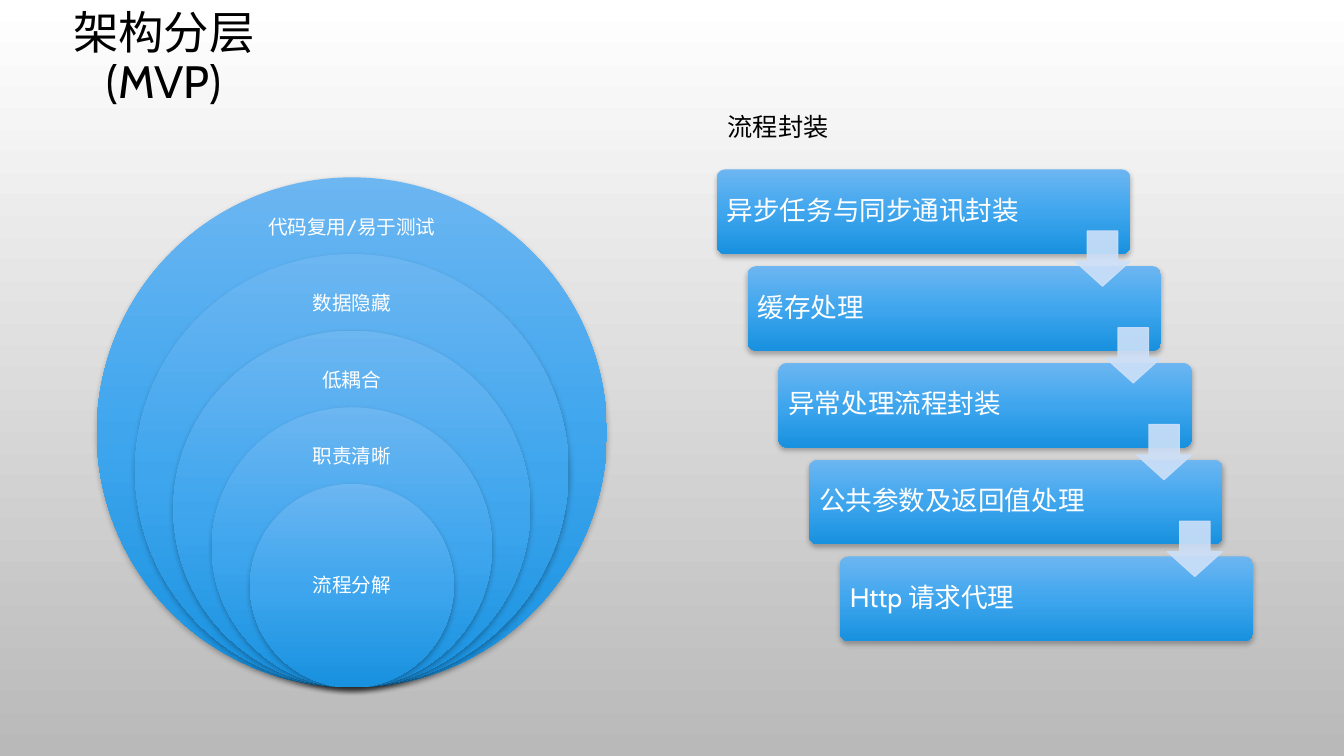
from dataclasses import dataclass

from lxml.etree import SubElement
from pptx import Presentation
from pptx.dml.color import RGBColor
from pptx.enum.shapes import MSO_SHAPE as Shape
from pptx.enum.text import MSO_ANCHOR as Anchor, PP_ALIGN as Align
from pptx.oxml.ns import qn
from pptx.util import Inches, Pt


@dataclass(frozen=True)
class Theme:
    font: str = "Cabin"
    dark: str = "000000"
    light: str = "FFFFFF"
    arrow: str = "CDE0F8"
    backdrop: tuple = ("FFFFFF", "B9B9B9")
    blue: tuple = ("6CB6F1", "3FA6EE", "1891DF")
    title_size: float = 32.4
    heading_size: float = 18
    step_size: float = 19
    ring_size: float = 14


class SlideBuilder:
    def __init__(self, slide, theme):
        self.slide = slide
        self.theme = theme

    def background(self):
        self._gradient(self.slide.background.fill, self.slide.element, self.theme.backdrop)

    def text(self, box, words, size, color, align=Align.LEFT, anchor=Anchor.MIDDLE,
             inset=None, spacing=0.9):
        """Add a text box; inset is one margin for all four sides."""
        frame = self.slide.shapes.add_textbox(*map(Inches, box)).text_frame
        frame.word_wrap = True
        frame.vertical_anchor = anchor
        if inset is not None:
            frame.margin_left = frame.margin_right = Inches(inset)
            frame.margin_top = frame.margin_bottom = Inches(inset)
        paragraph = frame.paragraphs[0]
        paragraph.text = words
        paragraph.alignment = align
        paragraph.line_spacing = spacing
        for run in paragraph.runs:
            run.font.name = self.theme.font
            run.font.size = Pt(size)
            run.font.color.rgb = RGBColor.from_string(color)

    def panel(self, kind, box, adjustments=()):
        """Add a blue gradient shape with a soft shadow below it."""
        panel = self._shape(kind, box, adjustments)
        self._gradient(panel.fill, panel.element, self.theme.blue)
        panel.line.fill.background()
        effects = panel.element.spPr.find(qn("a:effectLst"))
        shadow = SubElement(effects, qn("a:outerShdw"), blurRad=str(Pt(4)),
                            dist=str(Pt(2)), dir="5400000", rotWithShape="0")
        color = SubElement(shadow, qn("a:srgbClr"), val=self.theme.dark)
        SubElement(color, qn("a:alpha"), val="28000")

    def down_arrow(self, box):
        arrow = self._shape(Shape.DOWN_ARROW, box, (0.55, 0.45))
        for fill in (arrow.fill, arrow.line.fill):
            fill.solid()
            fill.fore_color.rgb = RGBColor.from_string(self.theme.arrow)
        arrow.line.width = Pt(0.75)
        for color in arrow.element.spPr.iter(qn("a:srgbClr")):
            SubElement(color, qn("a:alpha"), val="90000")

    def _shape(self, kind, box, adjustments):
        shape = self.slide.shapes.add_shape(kind, *map(Inches, box))
        shape.shadow.inherit = False
        for index, value in enumerate(adjustments):
            shape.adjustments[index] = value
        return shape

    def _gradient(self, fill, element, colors):
        """Fill from top to bottom with evenly spaced colours."""
        fill.gradient()
        fill.gradient_angle = 270
        stops = next(element.iter(qn("a:gsLst")))
        for stop in list(stops):
            stops.remove(stop)
        for index, color in enumerate(colors):
            position = index * 100000 // (len(colors) - 1)
            stop = SubElement(stops, qn("a:gs"), pos=str(position))
            SubElement(stop, qn("a:srgbClr"), val=color)


def draw_rings(builder):
    """Draw nested circles that share a centre line and a bottom point."""
    theme = builder.theme
    center, bottom, outer, shrink = 3.49, 6.82, 5.06, 0.76
    rings = [("代码复用/易于测试", 1.9), ("数据隐藏", 1.85), ("低耦合", 1.83),
             ("职责清晰", 1.5), ("流程分解", 1.43)]
    for index, (label, width) in enumerate(rings):
        diameter = outer - index * shrink
        top = bottom - diameter
        builder.panel(Shape.OVAL, (center - diameter / 2, top, diameter, diameter))
        innermost = index == len(rings) - 1
        offset, height = (diameter / 4, diameter / 2) if innermost else (0.25, 0.5)
        builder.text((center - width / 2, top + offset, width, height), label,
                     theme.ring_size, theme.light, Align.CENTER, inset=0.11)


def draw_steps(builder):
    """Draw the staircase of cards, then the arrows that lie over them."""
    theme = builder.theme
    steps = ["异步任务与同步通讯封装", "缓存处理", "异常处理流程封装",
             "公共参数及返回值处理", "Http 请求代理"]
    corners = [(7.11 + 0.305 * i, 1.68 + 0.96 * i) for i in range(len(steps))]
    for step, (left, top) in zip(steps, corners):
        builder.panel(Shape.ROUNDED_RECTANGLE, (left, top, 4.1, 0.84), (0.1,))
        builder.text((left + 0.02, top + 0.02, 3.19, 0.8), step,
                     theme.step_size, theme.light, inset=0.08)
    for left, top in corners[:-1]:
        builder.down_arrow((left + 3.55, top + 0.61, 0.55, 0.55))


def main():
    deck = Presentation()
    deck.slide_width, deck.slide_height = Inches(13.33), Inches(7.5)
    theme = Theme()
    builder = SlideBuilder(deck.slides.add_slide(deck.slide_layouts[6]), theme)
    builder.background()
    builder.text((0.32, 0.21, 2.61, 0.75), "架构分层(MVP)", theme.title_size,
                 theme.dark, Align.CENTER)
    draw_rings(builder)
    draw_steps(builder)
    builder.text((7.12, 1.06, 2, 0.4), "流程封装", theme.heading_size, theme.dark,
                 anchor=Anchor.TOP, spacing=1.0)
    deck.save("out.pptx")


if __name__ == "__main__":
    main()
